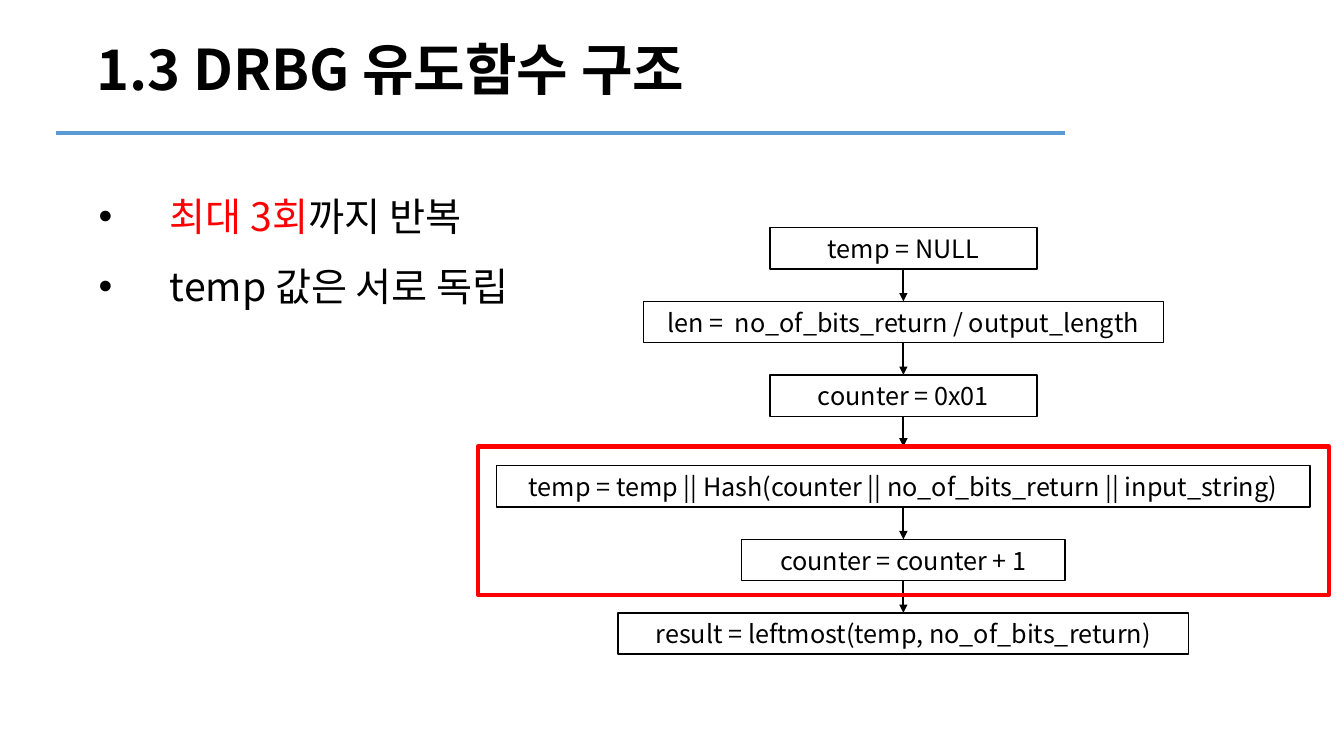
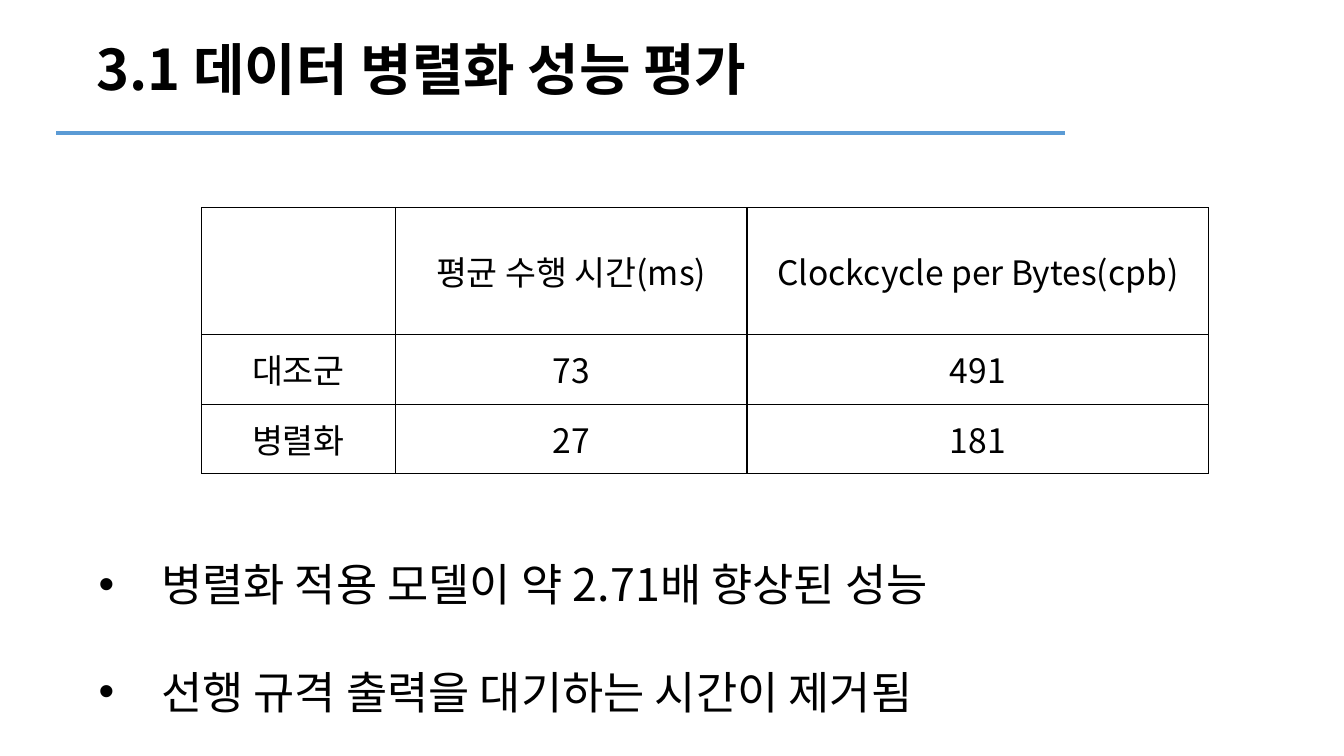
from lxml import etree
from pptx import Presentation
from pptx.dml.color import RGBColor
from pptx.enum import shapes, text
from pptx.oxml import ns
from pptx.util import Inches, Pt

FONT = "Noto Sans CJK KR"
COLORS = {"ink": "000000", "rule": "5B9BD5", "accent": "FF0000", "paper": "FFFFFF"}
BOX_HEIGHT = 0.41
STEP = 0.73
CENTER = 8.96


def color(name):
    return RGBColor.from_string(COLORS[name])


def add_element(parent, tag, **attributes):
    return etree.SubElement(parent, ns.qn(tag), attributes)


def style_span(span, size, ink="ink", bold=False):
    span.font.size = Pt(size)
    span.font.bold = bold
    span.font.color.rgb = color(ink)
    span.font.name = FONT
    add_element(span.font._element, "a:ea", typeface=FONT)


def center_text(frame, words, size):
    frame.text = words
    para = frame.paragraphs[0]
    para.alignment = text.PP_ALIGN.CENTER
    for span in para.runs:
        style_span(span, size)


def add_text_box(page, left, top, width, height):
    box = page.shapes.add_textbox(*map(Inches, (left, top, width, height)))
    box.text_frame.word_wrap = True
    box.text_frame.auto_size = text.MSO_AUTO_SIZE.SHAPE_TO_FIT_TEXT
    return box.text_frame


def add_line(page, start, end, ink, weight):
    line = page.shapes.add_connector(
        shapes.MSO_CONNECTOR.STRAIGHT, *map(Inches, (*start, *end)))
    line.line.color.rgb = color(ink)
    line.line.width = Pt(weight)
    add_element(line._element.spPr, "a:effectLst")
    return line


def add_page(deck, title):
    """Blank page with the shared title and rule."""
    page = deck.slides.add_slide(deck.slide_layouts[6])
    page.background.fill.solid()
    page.background.fill.fore_color.rgb = color("paper")
    add_line(page, (0.56, 1.32), (10.56, 1.32), "rule", 3)
    frame = add_text_box(page, 0.86, 0.29, 12.25, 0.77)
    frame.vertical_anchor = text.MSO_ANCHOR.MIDDLE
    frame.text = title
    style_span(frame.paragraphs[0].runs[0], 40, bold=True)
    return page


def add_bullets(page, top, height, size, items):
    """Each item is a line spacing and a list of (words, colour) spans."""
    frame = add_text_box(page, 0.88, top, 11.61, height)
    for index, (spacing, spans) in enumerate(items):
        para = frame.add_paragraph() if index else frame.paragraphs[0]
        para.line_spacing = spacing
        properties = para._p.get_or_add_pPr()
        properties.set("marL", str(Inches(0.62)))
        properties.set("indent", str(-Inches(0.62)))
        add_element(properties, "a:buFont", typeface="Arial")
        add_element(properties, "a:buChar", char="•")
        for words, ink in spans:
            span = para.add_run()
            span.text = words
            style_span(span, size, ink)


def add_outline(page, top, width, height, ink, weight):
    """Unfilled rectangle centred on the flow axis."""
    box = page.shapes.add_shape(
        shapes.MSO_SHAPE.RECTANGLE,
        *map(Inches, (CENTER - width / 2, top, width, height)))
    box.shadow.inherit = False
    box.fill.background()
    box.line.color.rgb = color(ink)
    box.line.width = Pt(weight)
    return box


def add_step(page, words, top, width):
    box = add_outline(page, top, width, BOX_HEIGHT, "ink", 1)
    box.text_frame.vertical_anchor = text.MSO_ANCHOR.MIDDLE
    center_text(box.text_frame, words, 18)
    return box


def add_arrow(page, upper, lower):
    arrow = add_line(page, (CENTER, 0), (CENTER, 1), "ink", 1.5)
    arrow.begin_connect(upper, 2)
    arrow.end_connect(lower, 0)
    add_element(arrow.line._get_or_add_ln(), "a:tailEnd", type="triangle")


def add_grid(page, left, top, widths, heights, rows):
    table = page.shapes.add_table(
        len(rows), len(widths),
        *map(Inches, (left, top, sum(widths), sum(heights)))).table
    table.first_row = table.horz_banding = False
    for column, width in zip(table.columns, widths):
        column.width = Inches(width)
    for row, height, values in zip(table.rows, heights, rows):
        row.height = Inches(height)
        for cell, value in zip(row.cells, values):
            cell.vertical_anchor = text.MSO_ANCHOR.MIDDLE
            center_text(cell.text_frame, value, 24)
            # Borders come before the fill
            properties = cell._tc.get_or_add_tcPr()
            for side in ("L", "R", "T", "B"):
                edge = add_element(properties, f"a:ln{side}", w=str(Pt(1)))
                fill = add_element(edge, "a:solidFill")
                add_element(fill, "a:srgbClr", val=COLORS["ink"])
            cell.fill.background()


def build_structure(deck):
    page = add_page(deck, "1.3 DRBG 유도함수 구조")

    # Flow: three set-up steps, then the loop and the result
    setup = [("temp = NULL", 2.65),
             ("len =  no_of_bits_return / output_length", 5.16),
             ("counter = 0x01", 2.65)]
    loop = [("temp = temp || Hash(counter || no_of_bits_return || input_string)", 8.07),
            ("counter = counter + 1", 3.21),
            ("result = leftmost(temp, no_of_bits_return)", 5.66)]
    first, length, counter = [
        add_step(page, words, 2.26 + STEP * index, width)
        for index, (words, width) in enumerate(setup)]
    digest, increment, result = [
        add_step(page, words, 4.62 + STEP * index, width)
        for index, (words, width) in enumerate(loop)]
    loop_frame = add_outline(page, 4.43, 8.44, 1.47, "accent", 3)

    for upper, lower in [(first, length), (length, counter), (counter, loop_frame),
                         (digest, increment), (increment, result)]:
        add_arrow(page, upper, lower)
    # Keep the loop frame above the arrows
    page.shapes._spTree.append(loop_frame._element)

    add_bullets(page, 1.39, 1.75, 28, [
        (2.0, [(" ", "ink"), ("최대 3회", "accent"), ("까지 반복", "ink")]),
        (1.5, [(" temp 값은 서로 독립", "ink")]),
    ])


def build_evaluation(deck):
    page = add_page(deck, "3.1 데이터 병렬화 성능 평가")
    add_grid(page, 2, 2.06, [1.92, 3.49, 4.58], [1.26, 0.69, 0.69], [
        ["", "평균 수행 시간(ms)", "Clockcycle per Bytes(cpb)"],
        ["대조군", "73", "491"],
        ["병렬화", "27", "181"],
    ])
    add_bullets(page, 4.94, 2.26, 32, [
        (2.0, [("병렬화 적용 모델이 약 2.71배 향상된 성능", "ink")]),
        (2.0, [("선행 규격 출력을 대기하는 시간이 제거됨", "ink")]),
    ])


def main():
    deck = Presentation()
    deck.slide_width = Inches(13.33)
    deck.slide_height = Inches(7.5)
    build_structure(deck)
    build_evaluation(deck)
    deck.save("out.pptx")


if __name__ == "__main__":
    main()
